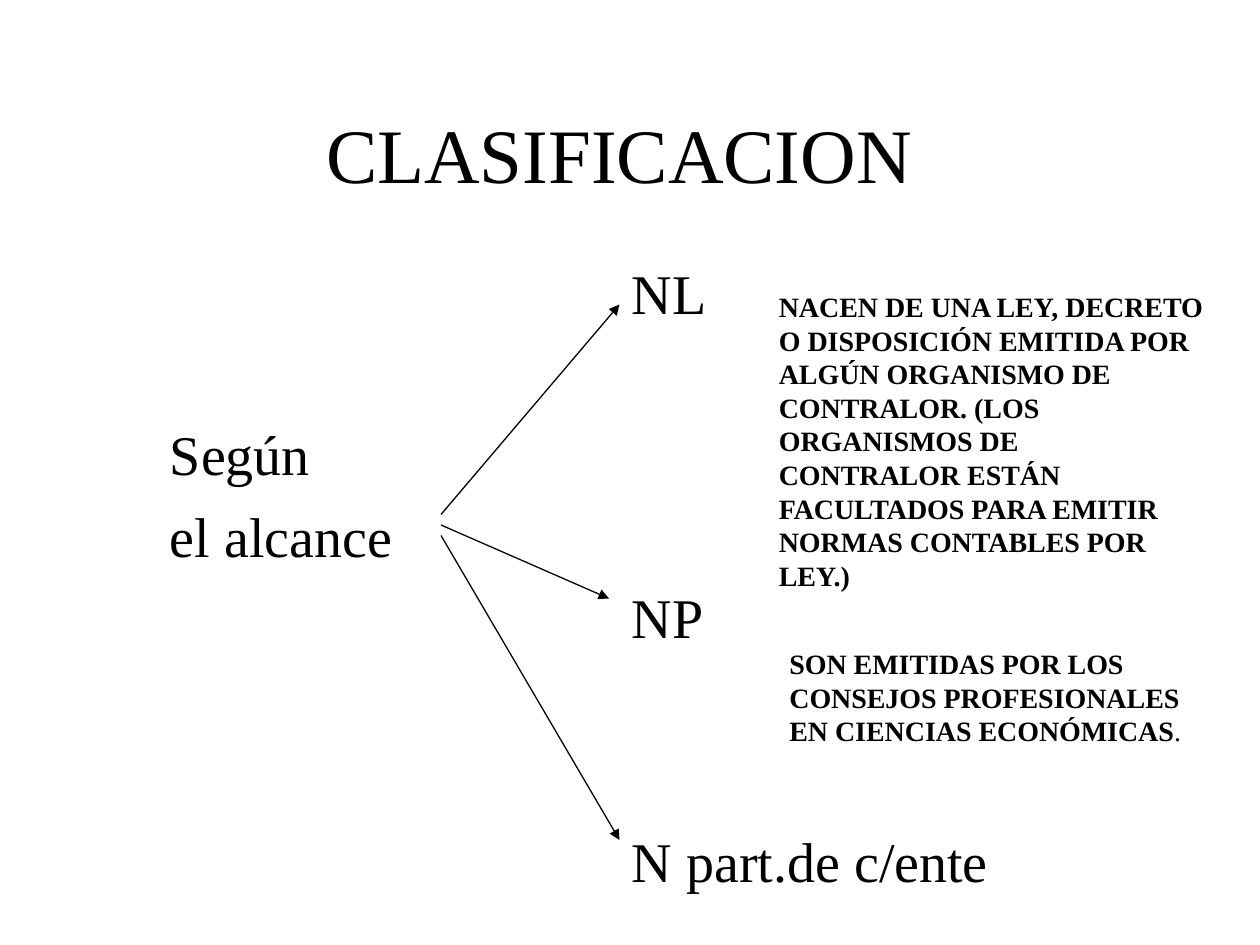
from dataclasses import dataclass

import pptx
import pptx.dml.color
import pptx.enum.shapes
import pptx.enum.text
import pptx.oxml
import pptx.oxml.ns
import pptx.util

PX = 7620
FONT = "Times New Roman"
INK = "000000"
TOP = 240
LEFT = pptx.enum.text.PP_ALIGN.LEFT
CENTER = pptx.enum.text.PP_ALIGN.CENTER


@dataclass(frozen=True)
class Run:
    text: str
    bold: bool = False


@dataclass(frozen=True)
class Box:
    x: int
    y: int
    w: int
    h: int
    size: int
    lines: list[list[Run]]
    align: pptx.enum.text.PP_ALIGN = LEFT
    middle: bool = False


@dataclass(frozen=True)
class Arrow:
    x1: int
    y1: int
    x2: int
    y2: int


def px(n: int) -> int:
    return n * PX


def color(code: str) -> pptx.dml.color.RGBColor:
    return pptx.dml.color.RGBColor.from_string(code)


def row(n: int) -> int:
    return TOP + n * 232 // 3


def label(x: int, n: int, w: int, *words: str) -> Box:
    return Box(x, row(n), w, 76 * len(words), 32, [[Run(word)] for word in words])


def draw_box(slide, box: Box) -> None:
    shape = slide.shapes.add_textbox(px(box.x), px(box.y), px(box.w), px(box.h))
    frame = shape.text_frame
    frame.word_wrap = True
    if box.middle:
        frame.vertical_anchor = pptx.enum.text.MSO_ANCHOR.MIDDLE
    for i, line in enumerate(box.lines):
        para = frame.add_paragraph() if i else frame.paragraphs[0]
        para.alignment = box.align
        if i:
            para.space_before = pptx.util.Pt(8)
        for part in line:
            run = para.add_run()
            run.text = part.text
            run.font.name = FONT
            run.font.size = pptx.util.Pt(box.size)
            run.font.bold = part.bold
            run.font.color.rgb = color(INK)


def draw_arrow(slide, arrow: Arrow) -> None:
    line = slide.shapes.add_connector(
        pptx.enum.shapes.MSO_CONNECTOR.STRAIGHT,
        px(arrow.x1), px(arrow.y1), px(arrow.x2), px(arrow.y2))
    line.line.color.rgb = color(INK)
    line.line.width = pptx.util.Pt(0.75)
    head = pptx.oxml.parse_xml(
        f'<a:tailEnd {pptx.oxml.ns.nsdecls("a")} type="triangle"/>')
    line.line._get_or_add_ln().append(head)
    flat = pptx.oxml.parse_xml(f'<a:effectLst {pptx.oxml.ns.nsdecls("a")}/>')
    line._element.spPr.append(flat)


BOXES = [
    Box(80, 70, 1020, 150, 44, [[Run("CLASIFICACION")]], CENTER, True),
    label(590, 0, 120, "NL"),
    label(150, 2, 270, "Según", "el alcance"),
    label(590, 4, 120, "NP"),
    label(590, 7, 400, "N part.de c/ente"),
    Box(730, 270, 430, 300, 16, [[Run(
        "NACEN DE UNA LEY, DECRETO O DISPOSICIÓN EMITIDA POR ALGÚN "
        "ORGANISMO DE CONTRALOR. (LOS ORGANISMOS DE CONTRALOR ESTÁN "
        "FACULTADOS PARA EMITIR NORMAS CONTABLES POR LEY.)", True)]]),
    Box(740, 610, 400, 108, 16, [[
        Run("SON EMITIDAS POR LOS CONSEJOS PROFESIONALES "
            "EN CIENCIAS ECONÓMICAS", True),
        Run(".")]]),
]

ARROWS = [
    Arrow(420, 490, 590, 290),
    Arrow(420, 500, 580, 570),
    Arrow(420, 510, 590, 800),
]


def main() -> None:
    deck = pptx.Presentation()
    deck.slide_width = px(1200)
    deck.slide_height = px(900)
    slide = deck.slides.add_slide(deck.slide_layouts[6])
    for box in BOXES:
        draw_box(slide, box)
    for arrow in ARROWS:
        draw_arrow(slide, arrow)
    deck.save("out.pptx")


if __name__ == "__main__":
    main()
